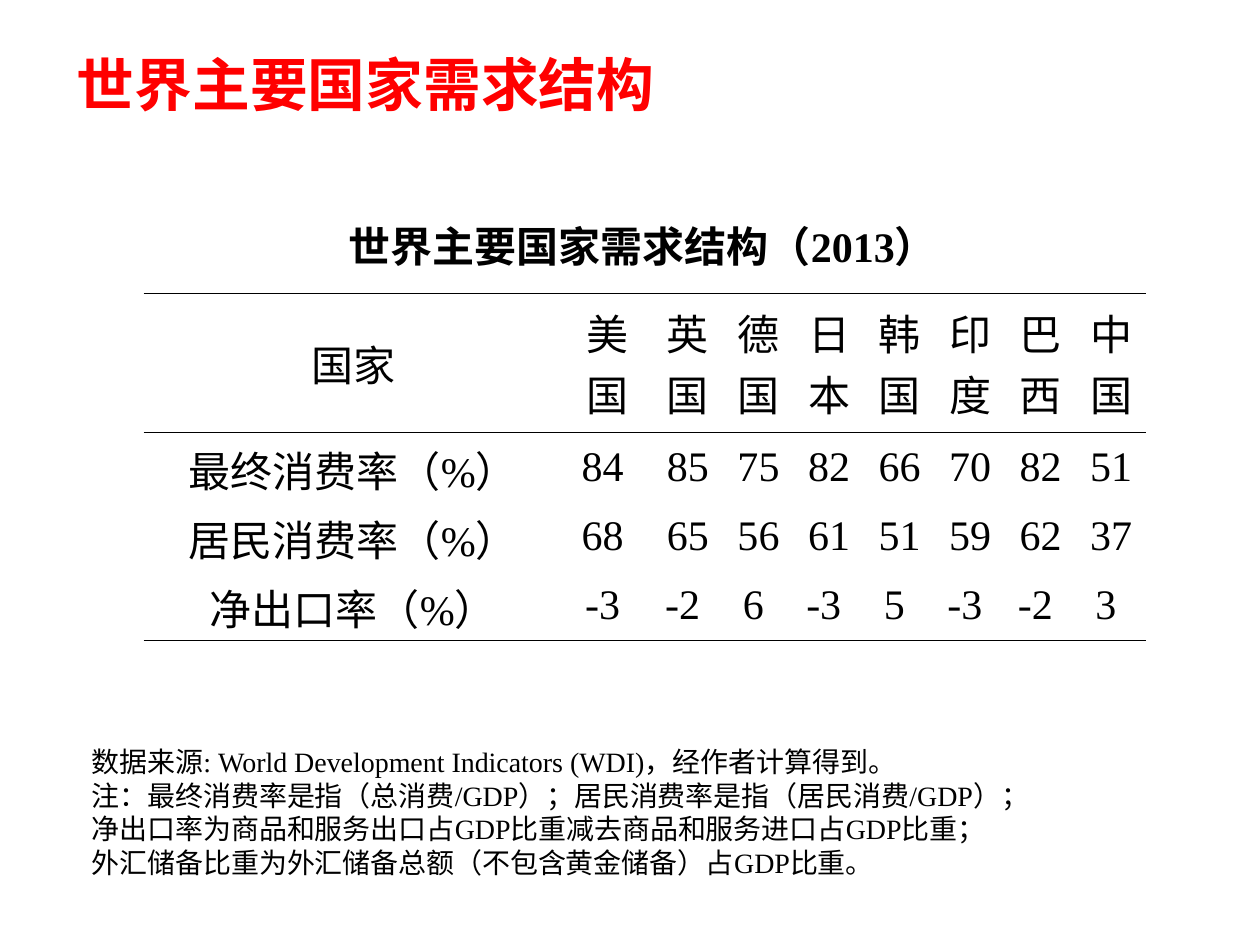
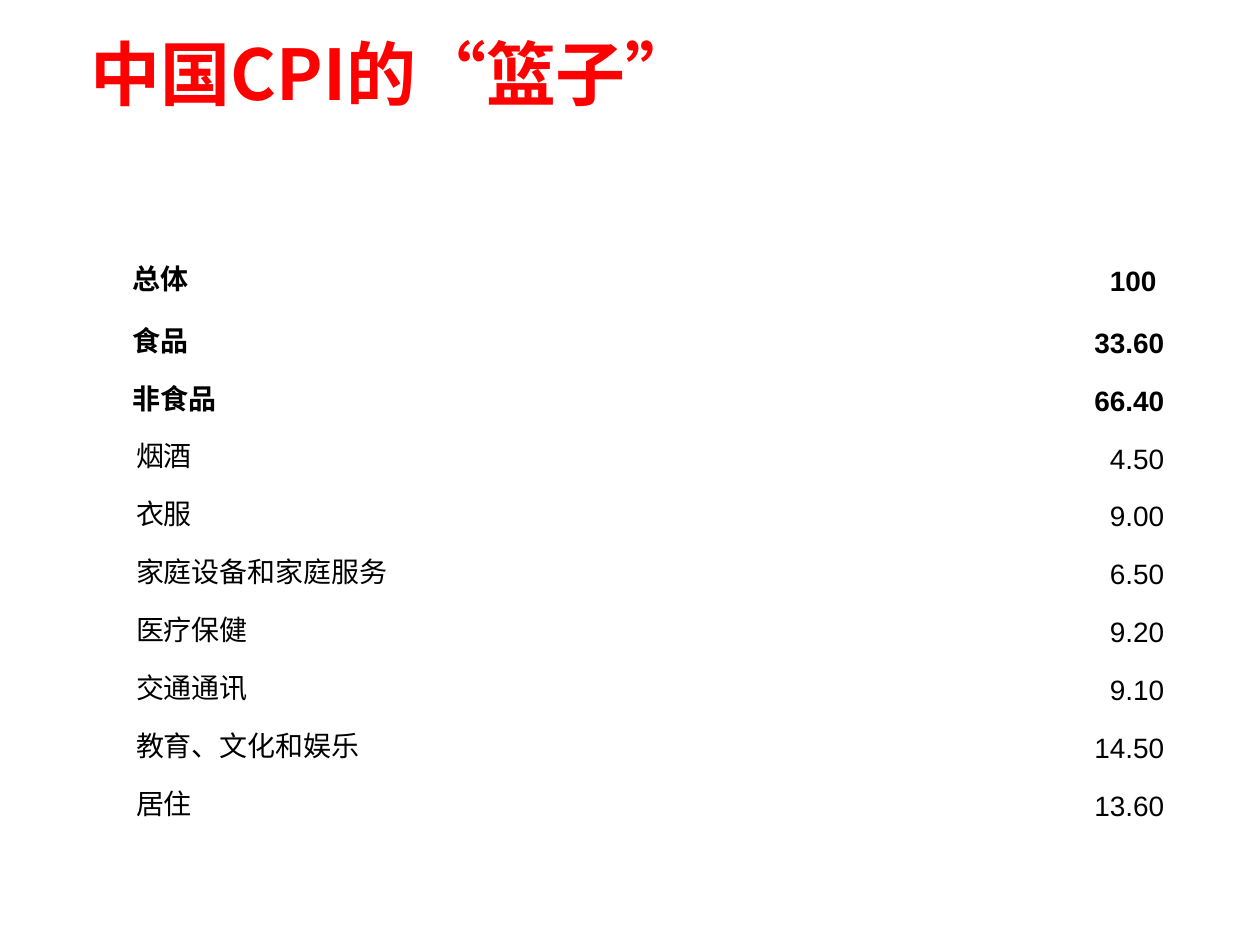
from lxml import etree
from pptx import Presentation
from pptx.dml.color import RGBColor
from pptx.enum.text import MSO_ANCHOR, MSO_AUTO_SIZE, PP_ALIGN
from pptx.oxml.ns import qn
from pptx.util import Inches, Pt

LEFT, CENTER, RIGHT = PP_ALIGN.LEFT, PP_ALIGN.CENTER, PP_ALIGN.RIGHT
TOP, MIDDLE, BOTTOM = MSO_ANCHOR.TOP, MSO_ANCHOR.MIDDLE, MSO_ANCHOR.BOTTOM
NO_AUTOFIT = MSO_AUTO_SIZE.NONE

RED = RGBColor(0xFF, 0x00, 0x00)
BLACK = RGBColor(0x00, 0x00, 0x00)
CHINESE_FONT = "Noto Sans CJK SC"
SERIF_FONT = "Times New Roman"
SANS_FONT = "Arial"
TITLE_ONLY_LAYOUT = 5
RULE_WIDTH = Pt(0.45)

DEMAND_ROWS = [
    ["国家", "美国", "英国", "德国", "日本", "韩国", "印度", "巴西", "中国"],
    ["最终消费率（%）", 84, 85, 75, 82, 66, 70, 82, 51],
    ["居民消费率（%）", 68, 65, 56, 61, 51, 59, 62, 37],
    ["净出口率（%）", -3, -2, 6, -3, 5, -3, -2, 3],
]

# Each line alternates Chinese and Latin text
SOURCE_NOTES = [
    ["数据来源", ": World Development Indicators (WDI)", "，经作者计算得到。"],
    ["注：最终消费率是指（总消费", "/GDP", "）；居民消费率是指（居民消费", "/GDP", "）；"],
    ["净出口率为商品和服务出口占", "GDP", "比重减去商品和服务进口占", "GDP", "比重；"],
    ["外汇储备比重为外汇储备总额（不包含黄金储备）占", "GDP", "比重。"],
]

BASKET_TOTALS = [("总体", "100 "), ("食品", "33.60"), ("非食品", "66.40")]
BASKET_ITEMS = [
    ("烟酒", "4.50"),
    ("衣服", "9.00"),
    ("家庭设备和家庭服务", "6.50"),
    ("医疗保健", "9.20"),
    ("交通通讯", "9.10"),
    ("教育、文化和娱乐", "14.50"),
    ("居住", "13.60"),
]


def format_run(run, size, latin_font, color=BLACK, bold=False):
    run.font.size = Pt(size)
    run.font.bold = bold
    run.font.color.rgb = color
    run.font.name = latin_font
    east_asian = etree.SubElement(run.font._element, qn("a:ea"))
    east_asian.set("typeface", CHINESE_FONT)


def add_titled_slide(presentation, title, left, top, size):
    slide = presentation.slides.add_slide(
        presentation.slide_layouts[TITLE_ONLY_LAYOUT])
    shape = slide.shapes.title
    shape.left, shape.top = Inches(left), Inches(top)
    shape.width, shape.height = Inches(8.62), Inches(1.45)
    text_frame = shape.text_frame
    text_frame.text = title
    text_frame.auto_size = NO_AUTOFIT
    text_frame.vertical_anchor = MIDDLE
    paragraph = text_frame.paragraphs[0]
    paragraph.alignment = LEFT
    paragraph.line_spacing = 0.9
    format_run(paragraph.runs[0], size, CHINESE_FONT, RED, bold=True)
    return slide


def add_text_box(slide, left, top, width, height, anchor):
    box = slide.shapes.add_textbox(
        Inches(left), Inches(top), Inches(width), Inches(height))
    box.text_frame.word_wrap = True
    box.text_frame.vertical_anchor = anchor
    return box.text_frame


def add_plain_table(slide, left, top, column_widths, row_heights):
    table = slide.shapes.add_table(
        len(row_heights), len(column_widths), Inches(left), Inches(top),
        Inches(sum(column_widths)), Inches(sum(row_heights))).table
    table.first_row = False
    table.horz_banding = False
    for column, width in zip(table.columns, column_widths):
        column.width = Inches(width)
    for row, height in zip(table.rows, row_heights):
        row.height = Inches(height)
    return table


def set_borders(cell, ruled_edges):
    """Rule the given edges (T, B) in black and clear the others."""
    properties = cell._tc.get_or_add_tcPr()
    for position, edge in enumerate("LRTB"):
        line = etree.Element(qn(f"a:ln{edge}"))
        if edge in ruled_edges:
            line.set("w", str(RULE_WIDTH))
            fill = etree.SubElement(line, qn("a:solidFill"))
            etree.SubElement(fill, qn("a:srgbClr")).set("val", str(BLACK))
        else:
            etree.SubElement(line, qn("a:noFill"))
        properties.insert(position, line)


def fill_cell(cell, text, size, font, alignment, anchor, bold=False, ruled_edges=""):
    cell.text = text
    cell.fill.background()
    cell.vertical_anchor = anchor
    paragraph = cell.text_frame.paragraphs[0]
    paragraph.alignment = alignment
    format_run(paragraph.runs[0], size, font, bold=bold)
    set_borders(cell, ruled_edges)


def add_demand_table(slide):
    table = add_plain_table(
        slide, 1.14, 2.33, [3.33, 0.71] + [0.56] * 7, [1.1] + [0.55] * 3)
    ruled_edges = ["TB", "T", "", "B"]
    for row_index, values in enumerate(DEMAND_ROWS):
        for column_index, value in enumerate(values):
            cell = table.cell(row_index, column_index)
            text = value if isinstance(value, str) else f"{value} "
            is_row_label = row_index > 0 and column_index == 0
            fill_cell(cell, text, 24, SERIF_FONT, CENTER,
                      TOP if is_row_label else MIDDLE,
                      ruled_edges=ruled_edges[row_index])
            cell.margin_left = cell.margin_right = Inches(0.08)


def add_basket_table(slide):
    rows = BASKET_TOTALS + BASKET_ITEMS
    table = add_plain_table(
        slide, 0.95, 1.95, [7.15, 1.24], [0.46, 0.49] + [0.46] * 8)
    for row_index, (category, weight) in enumerate(rows):
        is_total = row_index < len(BASKET_TOTALS)
        category_cell = table.cell(row_index, 0)
        fill_cell(category_cell, category, 16, SANS_FONT, LEFT, BOTTOM, is_total)
        category_cell.margin_left = Inches(0.1 if is_total else 0.13)
        fill_cell(table.cell(row_index, 1), weight, 16, SANS_FONT, RIGHT, BOTTOM, is_total)


def add_table_caption(slide, caption):
    text_frame = add_text_box(slide, 2.67, 1.7, 5.4, 0.5, TOP)
    text_frame.text = caption
    format_run(text_frame.paragraphs[0].runs[0], 24, SERIF_FONT, bold=True)


def add_source_notes(slide):
    text_frame = add_text_box(slide, 0.63, 5.86, 7.85, 1.17, MIDDLE)
    for line_index, pieces in enumerate(SOURCE_NOTES):
        paragraph = text_frame.add_paragraph() if line_index else text_frame.paragraphs[0]
        paragraph.line_spacing = Pt(19.2)
        for piece_index, piece in enumerate(pieces):
            run = paragraph.add_run()
            run.text = piece
            format_run(run, 16, SERIF_FONT if piece_index % 2 else CHINESE_FONT)


def main():
    presentation = Presentation()
    presentation.slide_width = Inches(10)
    presentation.slide_height = Inches(7.5)

    # Demand structure by country
    slide = add_titled_slide(presentation, "世界主要国家需求结构", 0.51, -0.03, 33)
    add_source_notes(slide)
    add_demand_table(slide)
    add_table_caption(slide, "世界主要国家需求结构（2013）")

    # Weights of the CPI basket
    slide = add_titled_slide(presentation, "中国CPI的“篮子”", 0.62, -0.11, 40)
    add_basket_table(slide)

    presentation.save("out.pptx")


if __name__ == "__main__":
    main()
